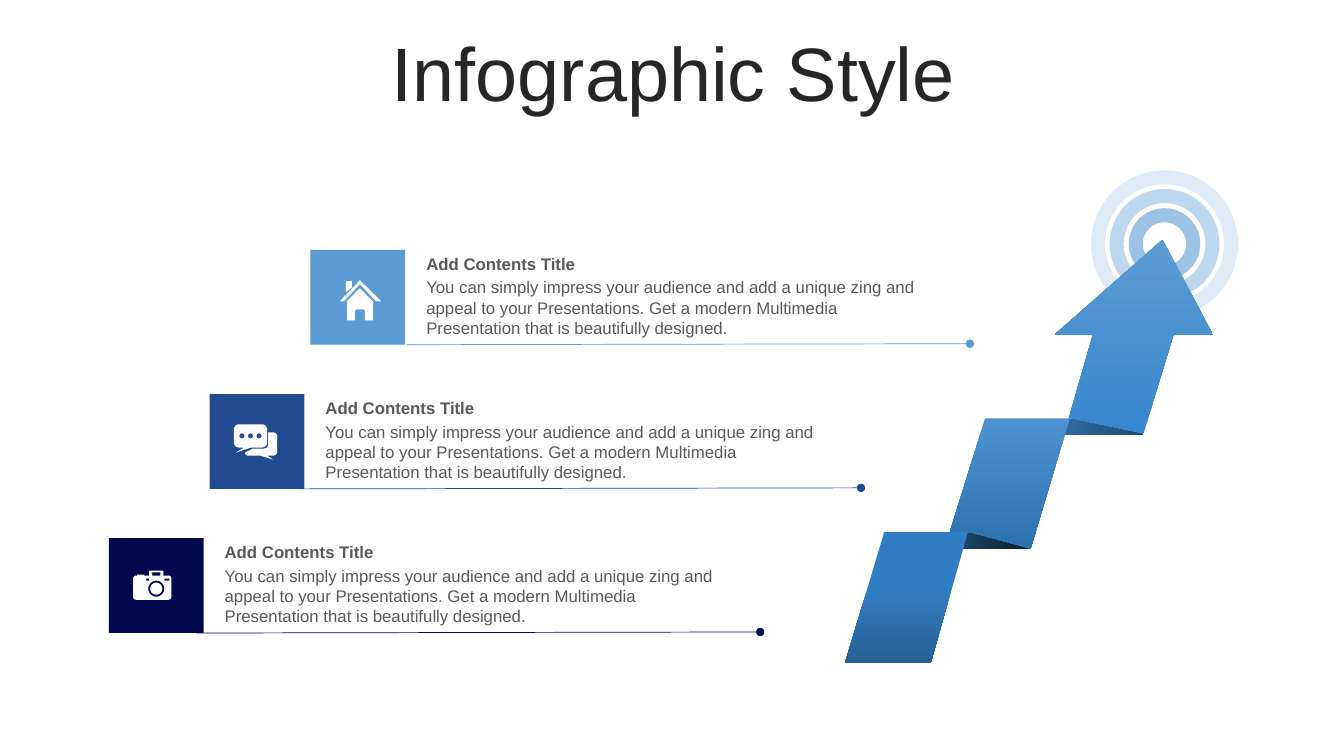
from lxml import etree
from pptx import Presentation
from pptx.dml.color import RGBColor
from pptx.enum import shapes, text
from pptx.oxml.ns import qn
from pptx import util as u

# Content
HEADING = "Infographic Style"
ITEM_TITLE = "Add Contents Title"
ITEM_BODY = ("You can simply impress your audience and add a unique zing and appeal to your "
             "Presentations. Get a modern Multimedia Presentation that is beautifully designed.")
WHITE, GREY, DARK = "FFFFFF", "595959", "262626"


def box(left, top, right, bottom, radius=0):
    return [(left, top, radius), (right, top, radius),
            (right, bottom, radius), (left, bottom, radius)]


def disc(x, y, radius):
    return box(x - radius, y - radius, x + radius, y + radius, radius)


# Icon outlines in hundredths of an inch from the tile corner: x, y, corner radius
HOUSE = [
    [(49, 38), (62, 51), (62, 70), (54, 70), (54, 59, 2), (44, 59, 2), (44, 70),
     (36, 70), (36, 51)],
    [(35, 31), (41, 31), (41, 37), (35, 42)],
    [(49, 30), (70, 51), (65, 51), (49, 34), (33, 51), (29, 51)],
]
CHAT = [
    [(24, 30, 5), (57, 30, 5), (57, 53, 5), (41, 53), (26, 58), (34, 53), (24, 53, 5)],
    [(58, 38), (67, 38, 4), (67, 61, 4), (57, 61), (63, 65), (50, 61), (35, 61, 3),
     (35, 58), (43, 54), (58, 54, 4)],
    *[disc(x, 41.5, 2.5) for x in (32, 40.5, 49)],
]
CAMERA = [
    [(24, 37, 3), (28, 37), (28, 36), (35, 36), (35, 37), (40, 37), (40, 32, 1),
     (54, 32, 1), (54, 37), (62, 37, 3), (62, 61, 3), (24, 61, 3)],
    disc(47, 50, 8), disc(47, 50, 6),
    box(37, 40, 40, 42), box(55, 40, 60, 42), box(43, 34, 51, 37),
]
# Colour, icon, start of the rule from the tile's left edge
ITEMS = [("5A9BD5", HOUSE, 0.95), ("224A90", CHAT, 0.87), ("010A4F", CAMERA, 0.87)]
TILE, FIRST_LEFT, FIRST_TOP, STEP_LEFT, STEP_TOP = 0.94, 3.08, 2.48, -1.0, 1.43

TARGET = (11.55, 2.42)
RINGS = [(0.95, "BDD7EE"), (0.57, "9CC3E6"), (1.32, "DEEBF7")]
# Ribbon parts, back to front: corners, gradient stops, gradient angle
RIBBON = [
    ([(11.53, 2.38), (12.03, 3.32), (11.64, 3.32), (11.34, 4.31), (10.6, 4.15),
      (10.84, 3.32), (10.46, 3.32)], [(0, "3887CC"), (0.99, "5A9BD5")], 90),
    ([(11.34, 4.31), (10.63, 4.16), (9.78, 4.16), (10.29, 4.32)],
     [(0, "428CCF"), (0.99, "1E4B74")], 0),
    ([(9.77, 4.15), (10.61, 4.15), (10.22, 5.45), (9.42, 5.28)],
     [(0, "4C92D1"), (0.99, "2D72B0")], 270),
    ([(10.21, 5.45), (9.62, 5.29), (8.76, 5.28), (9.22, 5.44)],
     [(0, "307ABC"), (0.99, "0A1B29")], 0),
    ([(8.77, 5.28), (9.6, 5.28), (9.23, 6.58), (8.38, 6.58)],
     [(0.44, "317DC1"), (0.99, "266196")], 270),
]

prs = Presentation()
prs.slide_width, prs.slide_height = u.Inches(13.33), u.Inches(7.5)
slide = prs.slides.add_slide(prs.slide_layouts[5])
parts = slide.shapes


def rgb(value):
    return RGBColor.from_string(value)


def inches(*lengths):
    return [u.Inches(length) for length in lengths]


def write(frame, words, size, color, bold=False):
    frame.word_wrap = True
    frame.text = words
    font = frame.paragraphs[0].font
    for key, value in dict(name="Arial", size=u.Pt(size), bold=bold).items():
        setattr(font, key, value)
    font.color.rgb = rgb(color)


def plain(shape, color):
    shape.shadow.inherit = False
    shape.line.fill.background()
    shape.fill.solid()
    shape.fill.fore_color.rgb = rgb(color)


def rounded(corners, steps=6):
    """Replace each corner that has a radius by points along a curve."""
    points = []
    for i, (x, y, *radius) in enumerate(corners):
        if not radius or not radius[0]:
            points.append((x, y))
            continue
        ends = []
        for near in (corners[i - 1], corners[(i + 1) % len(corners)]):
            dx, dy = near[0] - x, near[1] - y
            share = radius[0] / (dx * dx + dy * dy) ** 0.5
            ends.append((x + dx * share, y + dy * share))
        (ax, ay), (bx, by) = ends
        for t in (step / steps for step in range(steps + 1)):
            start, end = (1 - t) ** 2 * (1 + 0.35 * t), t ** 2 * (1.35 - 0.35 * t)
            middle = 1 - start - end
            points.append((ax * start + x * middle + bx * end,
                           ay * start + y * middle + by * end))
    return points


def outline(contours):
    contours = [[inches(*point) for point in contour] for contour in contours]
    builder = parts.build_freeform(*contours[0][0], scale=1.0)
    for i, contour in enumerate(contours):
        if i:
            builder.move_to(*contour[0])
        builder.add_line_segments(contour[1:], close=True)
    return builder.convert_to_shape()


# Title
heading = parts.title
heading.left, heading.top, heading.width, heading.height = inches(0.35, 0.37, 12.66, 0.79)
write(heading.text_frame, HEADING, 54, DARK)
heading.text_frame.vertical_anchor = text.MSO_ANCHOR.MIDDLE
heading.text_frame.paragraphs[0].alignment = text.PP_ALIGN.CENTER
heading.text_frame.paragraphs[0].line_spacing = 0.9

# Target rings
for size, color in RINGS:
    ring = parts.add_shape(shapes.MSO_SHAPE.OVAL, *inches(
        TARGET[0] - size / 2, TARGET[1] - size / 2, size, size))
    ring.shadow.inherit = False
    ring.fill.background()
    ring.line.color.rgb = rgb(color)
    ring.line.width = u.Pt(10)

# Folded arrow
for corners, stops, angle in RIBBON:
    fold = outline([corners])
    fold.shadow.inherit = False
    fold.line.fill.background()
    fold.fill.gradient()
    fold.fill.gradient_angle = angle
    for stop, (position, color) in zip(fold.fill.gradient_stops, stops):
        stop.position = position
        stop.color.rgb = rgb(color)

# Items: rule, texts, tile, icon
for row, (color, icon, rule_start) in enumerate(ITEMS):
    left, top = FIRST_LEFT + row * STEP_LEFT, FIRST_TOP + row * STEP_TOP
    rule = parts.add_connector(shapes.MSO_CONNECTOR.STRAIGHT, *inches(
        left + rule_start, top + TILE, left + rule_start + 5.59, top + TILE - 0.01))
    rule.line.color.rgb = rgb(color)
    rule.line.width = u.Pt(0.5)
    etree.SubElement(rule._element.spPr.get_or_add_ln(), qn("a:tailEnd"), type="oval")
    etree.SubElement(rule._element.spPr, qn("a:effectLst"))

    for words, drop, height, bold in ((ITEM_BODY, 0.22, 0.71, False),
                                      (ITEM_TITLE, -0.01, 0.3, True)):
        caption = parts.add_textbox(*inches(left + 1.05, top + drop, 5.1, height))
        write(caption.text_frame, words, 12, GREY, bold)

    plain(parts.add_shape(shapes.MSO_SHAPE.RECTANGLE, *inches(left, top, TILE, TILE)), color)
    plain(outline([[(left + x / 100, top + y / 100) for x, y in rounded(contour)]
                   for contour in icon]), WHITE)

prs.save("out.pptx")
